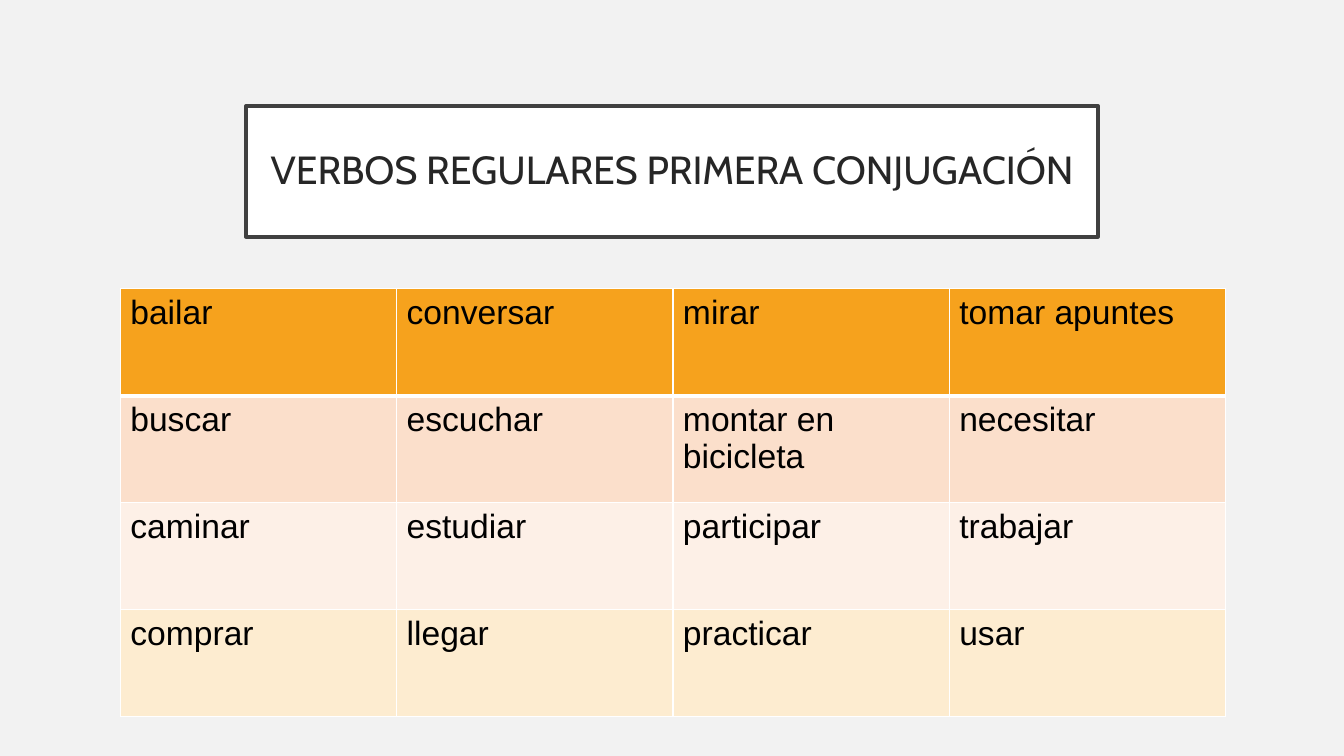
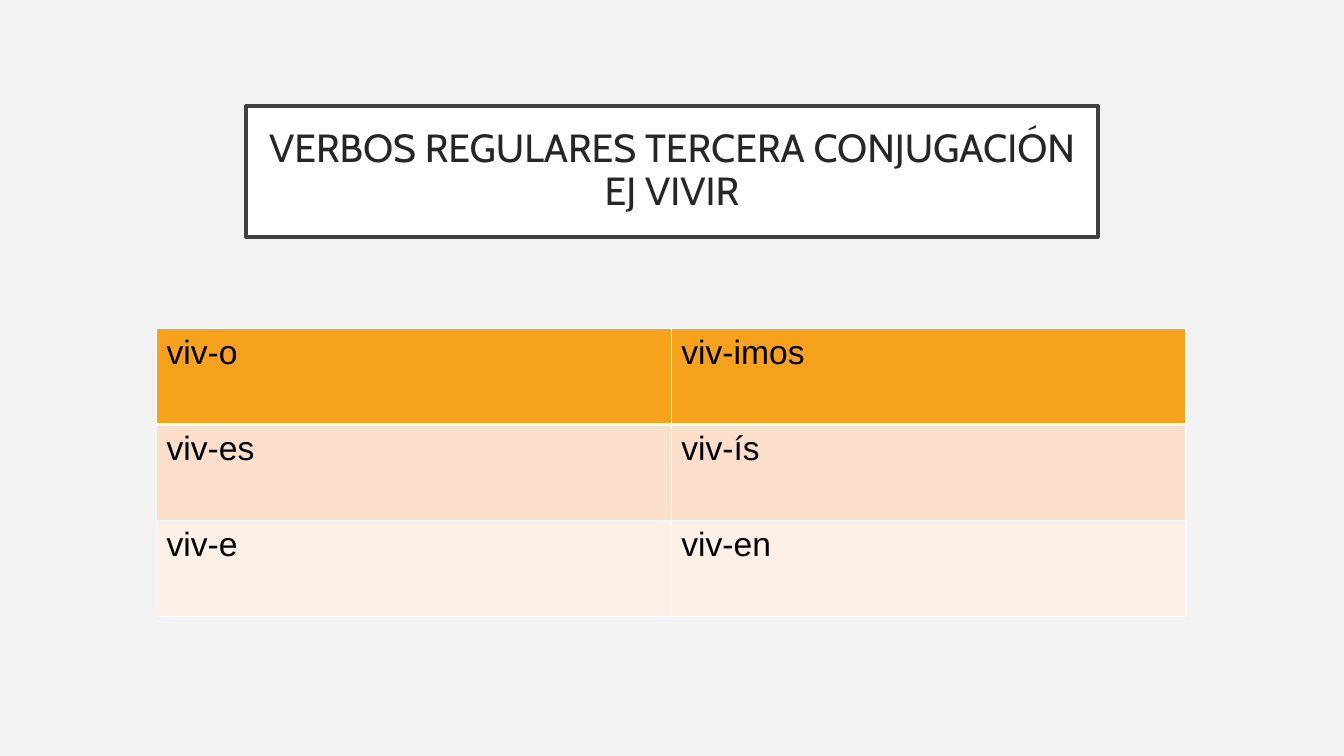
from pptx import Presentation
from pptx.dml.color import RGBColor
from pptx.enum.shapes import MSO_SHAPE as Shape
from pptx.enum.text import MSO_ANCHOR as Anchor, PP_ALIGN as Align
from pptx.oxml import parse_xml
from pptx.oxml.ns import nsdecls
from pptx.util import Inches, Pt

COLORS = {
    "background": "F2F2F2",
    "white": "FFFFFF",
    "frame": "404040",
    "title": "262626",
    "text": "000000",
    "header": "F6A21D",
    "band_dark": "FBDFCB",
    "band_light": "FDF0E7",
    "footer": "FDECD0",
}
ROW_FILLS = ["header", "band_dark", "band_light", "footer"]

FIRST_CONJUGATION = [
    ["bailar", "conversar", "mirar", "tomar apuntes"],
    ["buscar", "escuchar", "montar en bicicleta", "necesitar"],
    ["caminar", "estudiar", "participar", "trabajar"],
    ["comprar", "llegar", "practicar", "usar"],
]
VIVIR_ENDINGS = [
    ["viv-o", "viv-imos"],
    ["viv-es", "viv-ís"],
    ["viv-e", "viv-en"],
]


def color(name):
    return RGBColor.from_string(COLORS[name])


class VerbDeck:
    grid = 100

    def __init__(self):
        self.deck = Presentation()
        self.deck.slide_width = Inches(13.33)
        self.deck.slide_height = Inches(7.5)
        self.page = None

    def columns(self, count):
        return round(self.deck.slide_width * count / self.grid)

    def rows(self, count):
        return round(self.deck.slide_height * count / self.grid)

    def add_page(self, title):
        self.page = self.deck.slides.add_slide(self.deck.slide_layouts[6])
        fill = self.page.background.fill
        fill.solid()
        fill.fore_color.rgb = color("background")
        self.add_title(title)

    def style_text(self, para, font_name, size, color_name):
        for span in para.runs:
            span.font.name = font_name
            span.font.size = Pt(size)
            span.font.bold = False
            span.font.color.rgb = color(color_name)

    def add_title(self, text):
        box = self.page.shapes.add_shape(
            Shape.RECTANGLE, self.columns(18.3), self.rows(14),
            self.columns(63.4), self.rows(17.33))
        box.shadow.inherit = False
        box.fill.solid()
        box.fill.fore_color.rgb = color("white")
        box.line.color.rgb = color("frame")
        box.line.width = Pt(2.5)
        frame = box.text_frame
        frame.word_wrap = True
        frame.vertical_anchor = Anchor.MIDDLE
        frame.margin_left = frame.margin_right = Inches(0.2)
        frame.margin_top = frame.margin_bottom = Inches(0.2)
        frame.text = text
        para = frame.paragraphs[0]
        para.alignment = Align.CENTER
        para.line_spacing = 0.9
        self.style_text(para, "Cabin", 28, "title")

    def add_borders(self, cell, top, bottom):
        properties = cell._tc.get_or_add_tcPr()
        widths = {"lnL": 1, "lnR": 1, "lnT": top, "lnB": bottom}
        for position, (side, width) in enumerate(widths.items()):
            properties.insert(position, parse_xml(
                f'<a:{side} {nsdecls("a")} w="{Pt(width)}"><a:solidFill>'
                f'<a:srgbClr val="{COLORS["white"]}"/></a:solidFill></a:{side}>'))

    def add_table(self, words, left, top, column_width, row_height):
        row_count, column_count = len(words), len(words[0])
        table = self.page.shapes.add_table(
            row_count, column_count, self.columns(left), self.rows(top),
            self.columns(column_width * column_count),
            self.rows(row_height * row_count)).table
        table.first_row = table.horz_banding = False
        for column in table.columns:
            column.width = self.columns(column_width)
        for index, (row, fill_name) in enumerate(zip(table.rows, ROW_FILLS)):
            row.height = self.rows(row_height)
            for cell, word in zip(row.cells, words[index]):
                cell.text_frame.text = word
                self.style_text(cell.text_frame.paragraphs[0], "Arial", 24, "text")
                cell.fill.solid()
                cell.fill.fore_color.rgb = color(fill_name)
                self.add_borders(cell, top=3 if index == 1 else 1,
                                 bottom=3 if index == 0 else 1)


def main():
    verbs = VerbDeck()
    verbs.add_page("VERBOS REGULARES PRIMERA CONJUGACIÓN")
    verbs.add_table(FIRST_CONJUGATION, 8.95, 38.2, 20.56, 14.15)
    verbs.add_page("VERBOS REGULARES TERCERA CONJUGACIÓN EJ VIVIR")
    verbs.add_table(VIVIR_ENDINGS, 11.65, 43.47, 38.3, 12.7)
    verbs.deck.save("out.pptx")


if __name__ == "__main__":
    main()
